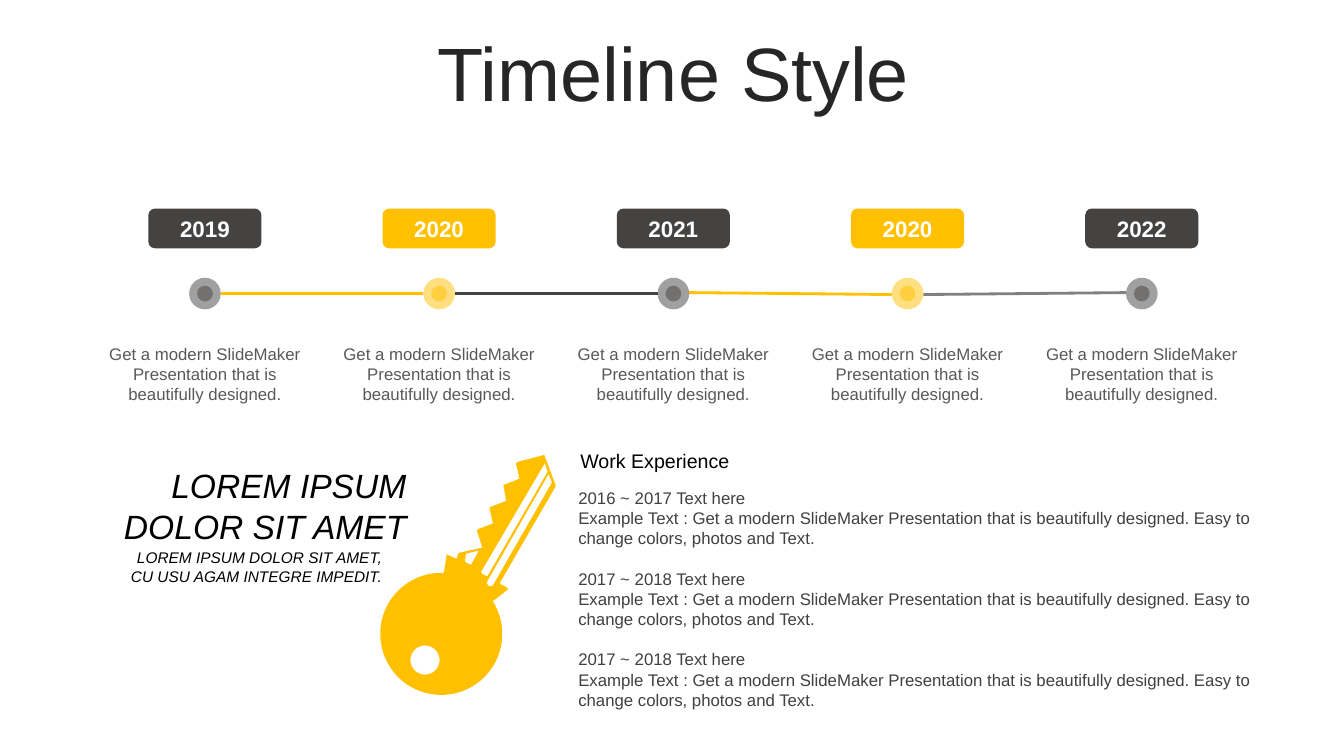
import math

from lxml import etree
from pptx import Presentation
from pptx.dml.color import RGBColor
from pptx.enum.shapes import MSO_CONNECTOR, MSO_SHAPE
from pptx.enum.text import MSO_ANCHOR, PP_ALIGN
from pptx.oxml.ns import qn
from pptx.util import Pt

STRAIGHT = MSO_CONNECTOR.STRAIGHT
OVAL, ROUNDED = MSO_SHAPE.OVAL, MSO_SHAPE.ROUNDED_RECTANGLE
TOP, MIDDLE = MSO_ANCHOR.TOP, MSO_ANCHOR.MIDDLE
LEFT, CENTER, RIGHT = PP_ALIGN.LEFT, PP_ALIGN.CENTER, PP_ALIGN.RIGHT

AMBER = RGBColor(0xFF, 0xC0, 0x00)
CHARCOAL = RGBColor(0x44, 0x43, 0x42)
GRAY = RGBColor(0x80, 0x80, 0x80)
WHITE = RGBColor(0xFF, 0xFF, 0xFF)
BLACK = RGBColor(0x00, 0x00, 0x00)
TITLE_INK = RGBColor(0x26, 0x26, 0x26)
BODY_INK = RGBColor(0x40, 0x40, 0x40)
CAPTION_INK = RGBColor(0x59, 0x59, 0x59)

CAPTION = "Get a modern SlideMaker Presentation that is beautifully designed."
EXAMPLE = ("Example Text : Get a modern SlideMaker Presentation that is "
           "beautifully designed. Easy to change colors, photos and Text.")
PERIODS = ["2016 ~ 2017 Text here", "2017 ~ 2018 Text here", "2017 ~ 2018 Text here"]

# Year, milestone colour
MILESTONES = [("2019", CHARCOAL), ("2020", AMBER), ("2021", CHARCOAL),
              ("2020", AMBER), ("2022", CHARCOAL)]
# Colour, vertical shift at the start and at the end
LINKS = [(AMBER, 0, 0), (CHARCOAL, 0, 0), (AMBER, -0.7, 0.7), (GRAY, 0.7, -0.7)]

# Key outline in points from the top left of its box
KEY_TEETH = [(45.5, 84.2), (47.5, 71), (54.5, 74.2), (56, 70), (73, 66.2),
             (69, 54), (70, 53), (80.5, 49), (78, 37.5), (90, 32.8), (88, 21.5),
             (99.5, 17), (97, 6.2), (98, 5), (117.2, 0)]
KEY_SHAFT = [(125.3, 21.6), (125, 23), (85.7, 91), (86, 92.3), (91, 95), (91, 96.3), (81, 104)]
KEY_SLOTS = [
    [(70.6, 68.2), (61.2, 70.6), (60.5, 76.3), (64.8, 78.6)],
    [(120.2, 13.7), (76.3, 90.5), (76.5, 92.5), (78, 93.9), (80, 93.6),
     (80.8, 92.6), (122.4, 20.2), (122.6, 19.3)],
    [(117.4, 5.2), (117.2, 6.5), (72.2, 83.3), (72.6, 84.8), (75.4, 86.3),
     (76.8, 86.3), (119.5, 12.2), (119.4, 11.3)],
]


def write(frame, lines, size, color, align=LEFT, anchor=TOP, bold=None, italic=None):
    frame.word_wrap = True
    frame.vertical_anchor = anchor
    for index, line in enumerate(lines):
        para = frame.paragraphs[0] if index == 0 else frame.add_paragraph()
        para.text = line
        para.alignment = align
        font = para.font
        font.name, font.size, font.bold, font.italic = "Arial", Pt(size), bold, italic
        font.color.rgb = color


def add_text(page, box, *args, **style):
    frame = page.shapes.add_textbox(*map(Pt, box)).text_frame
    write(frame, *args, **style)
    return frame


def paint(shape, color):
    shape.shadow.inherit = False
    shape.fill.solid()
    shape.fill.fore_color.rgb = color
    shape.line.fill.background()


def add_dot(page, center_x, center_y, size, color):
    dot = page.shapes.add_shape(OVAL, Pt(center_x - size / 2), Pt(center_y - size / 2),
                                Pt(size), Pt(size))
    paint(dot, color)
    # Half transparent fill
    tint = dot._element.spPr.find(qn("a:solidFill"))[0]
    etree.SubElement(tint, qn("a:alpha")).set("val", "50000")


def add_title(page, box):
    frame = add_text(page, box, ["Timeline Style"], 54, TITLE_INK, align=CENTER, anchor=MIDDLE)
    frame.paragraphs[0].line_spacing = 0.9


def add_timeline(page, box):
    left, top, width, height = box
    caption_width, badge_width, badge_height, dot_size = 156.2, 80.8, 28.4, 22.6
    step = (width - caption_width) / (len(MILESTONES) - 1)
    centers = [left + caption_width / 2 + step * i for i in range(len(MILESTONES))]
    dot_y = top + 60.7

    # Links between neighbouring dots
    for start, end, (color, rise, fall) in zip(centers, centers[1:], LINKS):
        link = page.shapes.add_connector(
            STRAIGHT, Pt(start + dot_size / 2), Pt(dot_y + rise),
            Pt(end - dot_size / 2), Pt(dot_y + fall))
        link.line.color.rgb = color
        link.line.width = Pt(2)
        etree.SubElement(link._element.spPr, qn("a:effectLst"))

    # Badge, dot and caption of each milestone
    for center, (year, color) in zip(centers, MILESTONES):
        badge = page.shapes.add_shape(ROUNDED, Pt(center - badge_width / 2), Pt(top),
                                      Pt(badge_width), Pt(badge_height))
        paint(badge, color)
        write(badge.text_frame, [year], 16, WHITE, align=CENTER, anchor=MIDDLE, bold=True)
        for size in (dot_size, dot_size / 2):
            add_dot(page, center, dot_y, size, color)
        add_text(page, (center - caption_width / 2, top + 93, caption_width, height - 93),
                 [CAPTION], 12, CAPTION_INK, align=CENTER)


def add_slogan(page, box):
    left, top, width, height = box
    add_text(page, (left + 17.3, top, width - 17.3, 65.4), ["LOREM IPSUM", "DOLOR SIT AMET"],
             24, BLACK, align=RIGHT, anchor=MIDDLE, italic=True)
    add_text(page, (left, top + 59.8, width - 17.3, height - 59.8),
             ["LOREM IPSUM DOLOR SIT AMET,", "CU USU AGAM INTEGRE IMPEDIT."],
             11, BLACK, align=RIGHT, anchor=MIDDLE, italic=True)


def arc(center_x, center_y, radius, first, last):
    return [(center_x + radius * math.cos(math.radians(angle)),
             center_y + radius * math.sin(math.radians(angle)))
            for angle in range(first, last + 1, 5)]


def add_key(page, box):
    left, top = box[:2]
    outline = KEY_TEETH + KEY_SHAFT + arc(43.6, 127.8, 43.6, -33, 272)
    contours = [outline, *KEY_SLOTS, arc(32, 146.5, 10.4, 0, 355)]
    builder = None
    for contour in contours:
        points = [(Pt(left + x), Pt(top + y)) for x, y in contour]
        if builder is None:
            builder = page.shapes.build_freeform(*points[0])
        else:
            builder.move_to(*points[0])
        builder.add_line_segments(points[1:], close=True)
    paint(builder.convert_to_shape(), AMBER)


def add_experience(page, box):
    left, top, width, height = box
    add_text(page, (left + 1.4, top, width - 2.8, 24.5), ["Work Experience"], 14, BLACK)
    lines = [line for period in PERIODS for line in (period, EXAMPLE)]
    frame = add_text(page, (left, top + 28.1, width, height - 28.1), lines, 12, BODY_INK)
    for para in frame.paragraphs[2::2]:
        para.space_before = Pt(14.4)


def main():
    deck = Presentation()
    deck.slide_width, deck.slide_height = Pt(960), Pt(540)
    page = deck.slides.add_slide(deck.slide_layouts[6])
    add_title(page, (25.2, 26.6, 911.5, 56.9))
    add_timeline(page, (68.3, 149, 825.4, 144))
    add_slogan(page, (46, 328.3, 251.4, 93.6))
    add_key(page, (271.6, 325, 125.3, 171.4))
    add_experience(page, (406, 316.8, 513.4, 195.1))
    deck.save("out.pptx")


if __name__ == "__main__":
    main()
